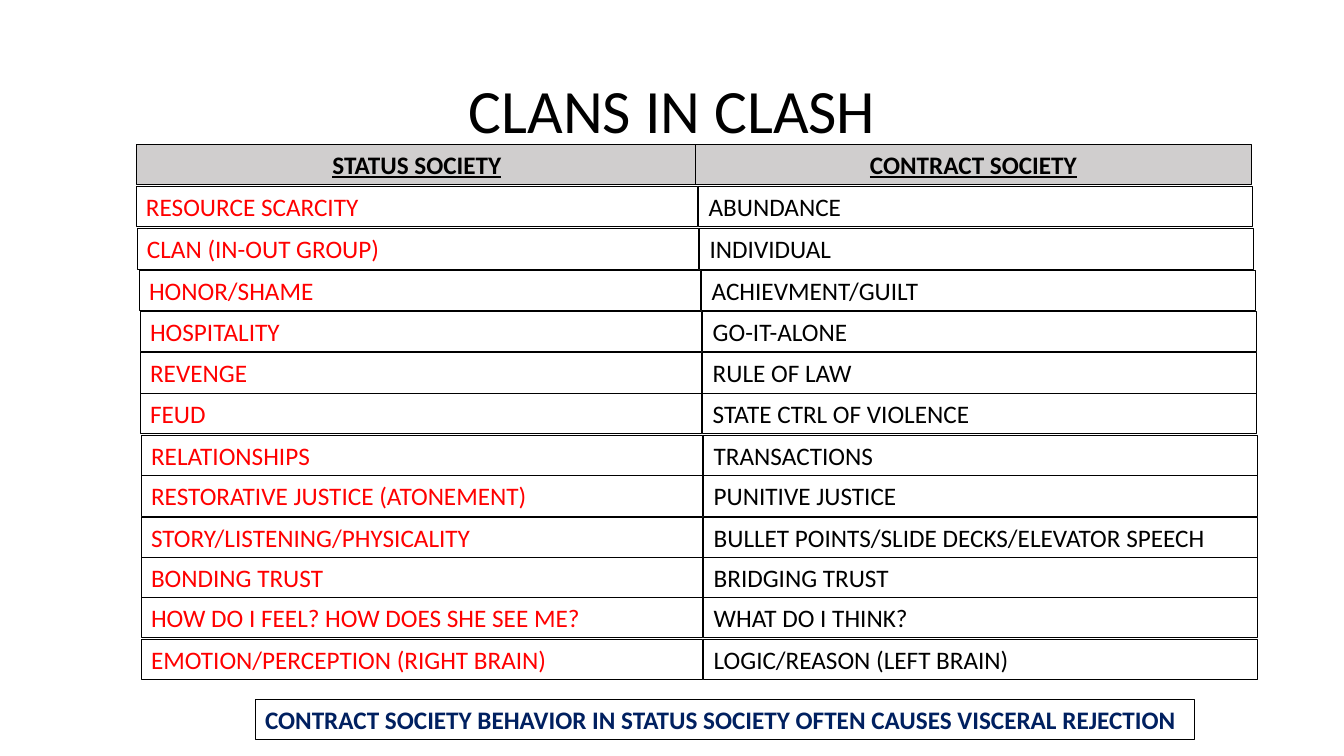
from pptx import Presentation
from pptx.dml.color import RGBColor
from pptx.enum import text
from pptx.util import Inches, Pt

COLORS = {"black": "000000", "red": "FF0000", "navy": "002060", "gray": "D0CECE"}
TITLE = "CLANS IN CLASH"
HEADERS = [("STATUS SOCIETY", 1.35, 5.57), ("CONTRACT SOCIETY", 6.9, 5.51)]
ROWS = [
    (1.35, 1.85, "RESOURCE SCARCITY", "ABUNDANCE"),
    (1.36, 2.27, "CLAN (IN-OUT GROUP)", "INDIVIDUAL"),
    (1.38, 2.68, "HONOR/SHAME", "ACHIEVMENT/GUILT"),
    (1.39, 3.09, "HOSPITALITY", "GO-IT-ALONE"),
    (1.39, 3.5, "REVENGE", "RULE OF LAW"),
    (1.39, 3.9, "FEUD", "STATE CTRL OF VIOLENCE"),
    (1.4, 4.32, "RELATIONSHIPS", "TRANSACTIONS"),
    (1.4, 4.72, "RESTORATIVE JUSTICE (ATONEMENT)", "PUNITIVE JUSTICE"),
    (1.4, 5.13, "STORY/LISTENING/PHYSICALITY", "BULLET POINTS/SLIDE DECKS/ELEVATOR SPEECH"),
    (1.4, 5.53, "BONDING TRUST", "BRIDGING TRUST"),
    (1.4, 5.93, "HOW DO I FEEL? HOW DOES SHE SEE ME?", "WHAT DO I THINK?"),
    (1.4, 6.34, "EMOTION/PERCEPTION (RIGHT BRAIN)", "LOGIC/REASON (LEFT BRAIN)"),
]
CONCLUSION = "CONTRACT SOCIETY BEHAVIOR IN STATUS SOCIETY OFTEN CAUSES VISCERAL REJECTION"
HEADER_TOP, ROW_HEIGHT = 1.43, 0.4
STATUS_WIDTH, CONTRACT_WIDTH, CONTRACT_OFFSET = 5.57, 5.49, 5.58


def rgb(name):
    return RGBColor.from_string(COLORS[name])


def add_text(slide, words, left, top, width, height, color="black", size=18, wrap=True):
    sp = slide.shapes.add_textbox(*map(Inches, (left, top, width, height)))
    sp.text_frame.word_wrap = wrap
    p = sp.text_frame.paragraphs[0]
    p.text = words
    p.font.name, p.font.size = "Calibri", Pt(size)
    p.font.color.rgb = rgb(color)
    return sp, p


def add_cell(slide, words, left, top, width, color="black", wrap=True):
    sp, p = add_text(slide, words, left, top, width, ROW_HEIGHT, color, wrap=wrap)
    sp.text_frame.auto_size = text.MSO_AUTO_SIZE.SHAPE_TO_FIT_TEXT
    sp.line.color.rgb = rgb("black")
    sp.line.width = Pt(0.75)
    return sp, p


def main():
    """Build the slide comparing status and contract societies."""
    prs = Presentation()
    prs.slide_width, prs.slide_height = Inches(13.33), Inches(7.5)
    slide = prs.slides.add_slide(prs.slide_layouts[6])

    sp, p = add_text(slide, TITLE, 0.92, 0.4, 11.5, 1.45, size=44)
    sp.text_frame.vertical_anchor = text.MSO_ANCHOR.MIDDLE
    p.alignment = text.PP_ALIGN.CENTER
    p.line_spacing = 0.9

    for words, left, width in HEADERS:
        sp, p = add_cell(slide, words, left, HEADER_TOP, width)
        sp.fill.solid()
        sp.fill.fore_color.rgb = rgb("gray")
        p.alignment = text.PP_ALIGN.CENTER
        p.font.bold = p.font.underline = True

    for left, top, status, contract in ROWS:
        add_cell(slide, contract, left + CONTRACT_OFFSET, top, CONTRACT_WIDTH)
        add_cell(slide, status, left, top, STATUS_WIDTH, "red")

    sp, p = add_cell(slide, CONCLUSION, 2.53, 6.94, 9.32, "navy", wrap=False)
    p.font.bold = True
    prs.save("out.pptx")


if __name__ == "__main__":
    main()
